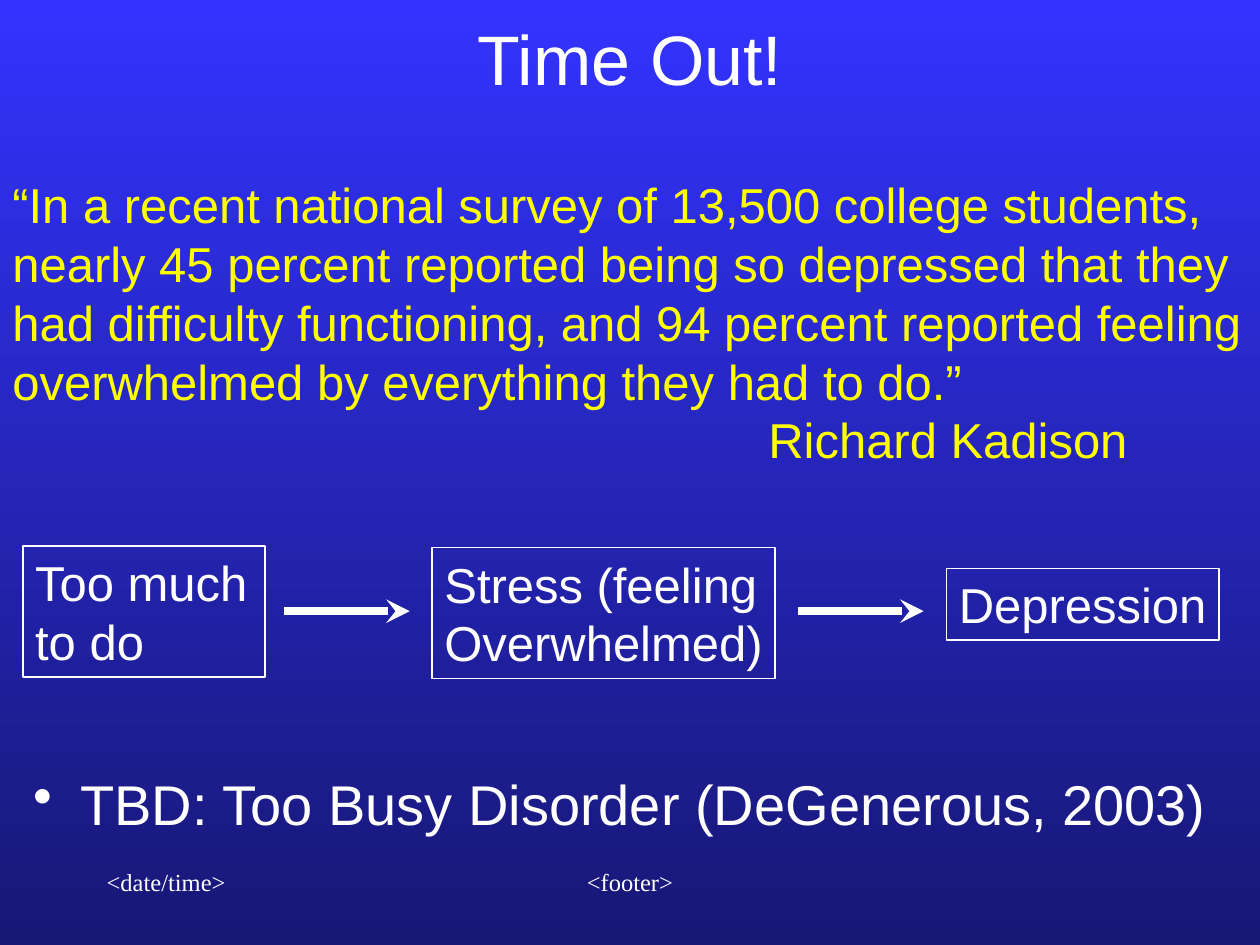
from lxml import etree
from pptx import Presentation
from pptx.dml.color import RGBColor
from pptx.enum.shapes import MSO_CONNECTOR, MSO_SHAPE
from pptx.enum.text import MSO_ANCHOR, PP_ALIGN
from pptx.oxml.ns import qn
from pptx.util import Cm, Pt

STRAIGHT, RECT = MSO_CONNECTOR.STRAIGHT, MSO_SHAPE.RECTANGLE
MIDDLE, TOP = MSO_ANCHOR.MIDDLE, MSO_ANCHOR.TOP
LEFT, CENTER = PP_ALIGN.LEFT, PP_ALIGN.CENTER
WHITE, YELLOW = "FFFFFF", "FFFF00"


def color(value):
    return RGBColor.from_string(value)


def write(s, lines, size, font="Arial", rgb=WHITE, align=LEFT, anchor=TOP, wrap=True):
    tf = s.text_frame
    frame = {"word_wrap": wrap, "vertical_anchor": anchor,
             "margin_left": Cm(0.25), "margin_right": Cm(0.25),
             "margin_top": Cm(0.13), "margin_bottom": Cm(0.13)}
    for name, value in frame.items():
        setattr(tf, name, value)
    tf.text = "\n".join(lines)
    for p in tf.paragraphs:
        p.alignment = align
        for r in p.runs:
            for name, value in {"size": Pt(size), "name": font, "bold": False}.items():
                setattr(r.font, name, value)
            r.font.color.rgb = color(rgb)
    return tf.paragraphs


prs = Presentation()
prs.slide_width, prs.slide_height = Cm(25.4), Cm(19.05)
slide = prs.slides.add_slide(prs.slide_layouts[5])
shapes = slide.shapes

# Background: blue fading downwards
fill = slide.background.fill
fill.gradient()
fill.gradient_angle = 270
for stop, position, rgb in zip(fill.gradient_stops, (0, 1), ("3333FF", "171775")):
    stop.position = position
    stop.color.rgb = color(rgb)

# Title
title = shapes.title
title.left, title.top, title.width, title.height = Cm(1.9), Cm(0.2), Cm(21.6), Cm(1.9)
write(title, ["Time Out!"], 40, align=CENTER, anchor=MIDDLE)

# Date and footer
for text, left, width, align in [("<date/time>", 1.9, 5.29, LEFT),
                                 ("<footer>", 8.68, 8.04, CENTER)]:
    s = shapes.add_textbox(Cm(left), Cm(17.35), Cm(width), Cm(1.27))
    write(s, [text], 14, font="Times New Roman", align=align)

# Quotation, with its author indented
s = shapes.add_textbox(0, Cm(3.39), Cm(25.4), Cm(6.2))
quote, author = write(s, [
    "“In a recent national survey of 13,500 college students, nearly 45 percent "
    "reported being so depressed that they had difficulty functioning, and 94 percent "
    "reported feeling overwhelmed by everything they had to do.”",
    "Richard Kadison"], 28, rgb=YELLOW)
author._p.get_or_add_pPr().set("marL", str(Cm(15.24)))

# Chain of outlined boxes
for lines, left, top, width, height in [
        (["Too much", "to do"], 0.46, 11.01, 4.88, 2.64),
        (["Stress (feeling", "Overwhelmed)"], 8.71, 11.04, 6.92, 2.64),
        (["Depression"], 19.08, 11.46, 5.49, 1.45)]:
    s = shapes.add_shape(RECT, Cm(left), Cm(top), Cm(width), Cm(height))
    s.shadow.inherit = False
    s.fill.background()
    s.line.color.rgb = color(WHITE)
    s.line.width = Pt(1)
    write(s, lines, 28, wrap=False)

# Arrows between the boxes
for left in (5.72, 16.08):
    s = shapes.add_connector(STRAIGHT, Cm(left), Cm(12.32), Cm(left + 2.54), Cm(12.32))
    s.line.color.rgb = color(WHITE)
    s.line.width = Pt(4.5)
    etree.SubElement(s.line._get_or_add_ln(), qn("a:tailEnd"), type="stealth")
    etree.SubElement(s._element.spPr, qn("a:effectLst"))

# Closing bullet
s = shapes.add_textbox(Cm(0.42), Cm(15.24), Cm(24.34), Cm(2.1))
p = write(s, ["TBD: Too Busy Disorder (DeGenerous, 2003)"], 32)[0]
p.line_spacing = 1.1
p.space_before = Pt(8)
pPr = p._p.get_or_add_pPr()
pPr.set("marL", str(Cm(0.95)))
pPr.set("indent", str(Cm(-0.95)))
bullet_color = etree.SubElement(pPr, qn("a:buClr"))
etree.SubElement(bullet_color, qn("a:srgbClr"), val=WHITE)
etree.SubElement(pPr, qn("a:buChar"), char="•")

prs.save("out.pptx")
